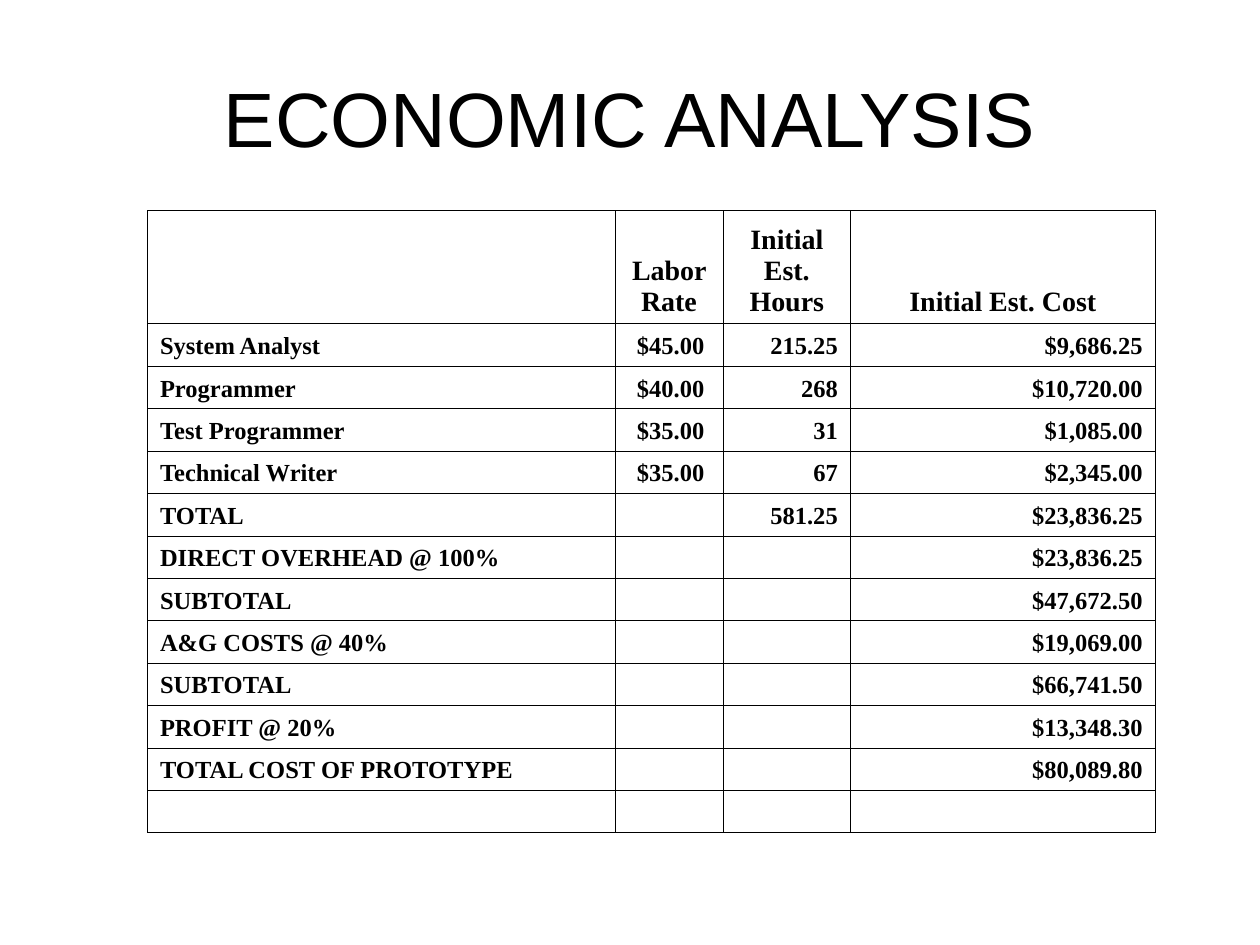
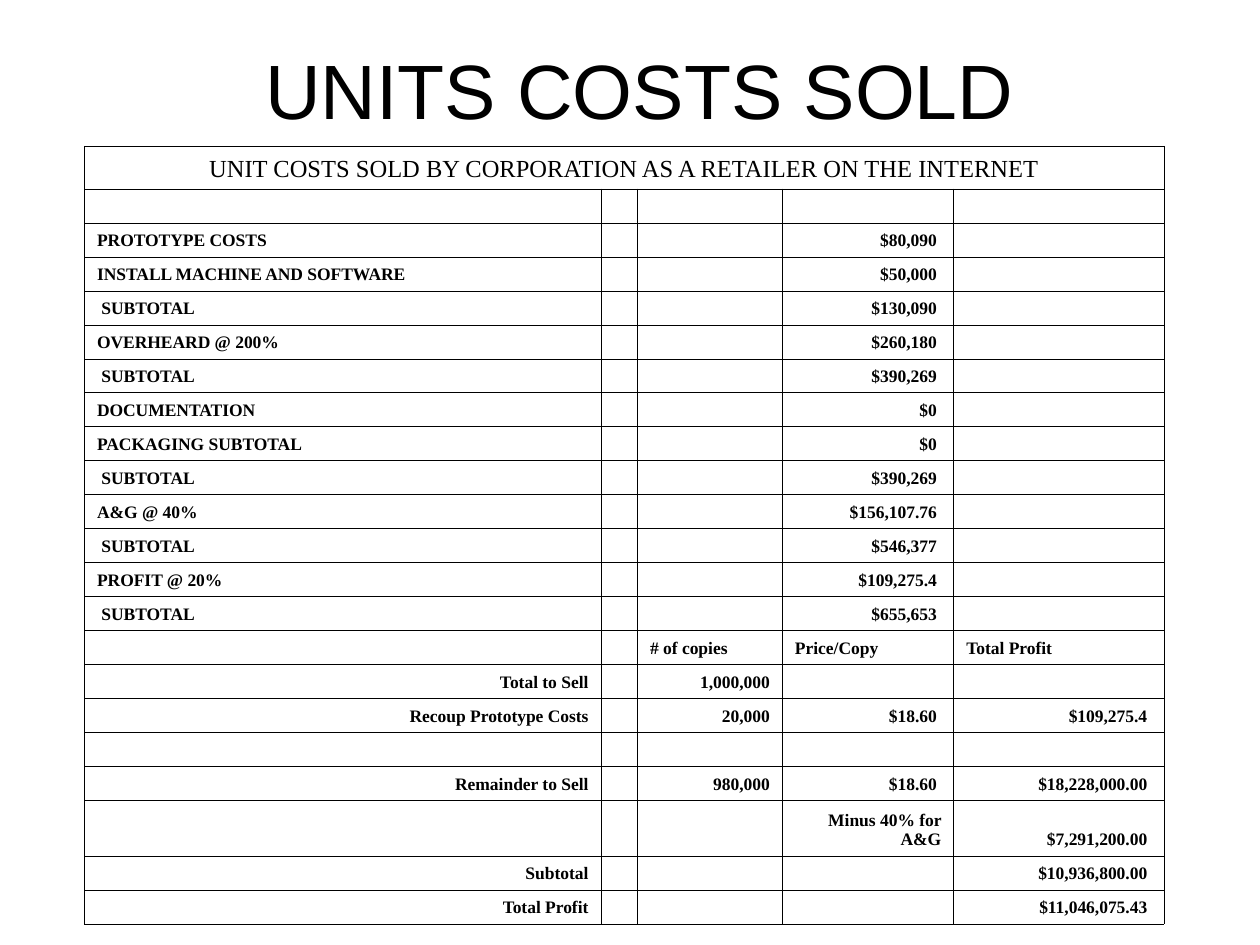
from dataclasses import dataclass

from lxml.etree import SubElement
from pptx import Presentation
from pptx.dml.color import RGBColor
from pptx.enum.text import MSO_ANCHOR as Anchor, PP_ALIGN as Align
from pptx.oxml.ns import qn
from pptx.util import Inches, Pt

BLACK = RGBColor(0, 0, 0)
WHITE = RGBColor(255, 255, 255)
TITLE_FONT, TABLE_FONT = "Arial", "Times New Roman"
SLIDE_WIDTH, SLIDE_HEIGHT = 10, 7.5
TITLE_SIZE = (9, 1.25)
BORDER_WIDTH = Pt(0.45)
ALIGNMENTS = {"l": Align.LEFT, "c": Align.CENTER, "r": Align.RIGHT}


@dataclass
class Section:
    """Consecutive table rows that share height, text size and column alignment."""

    rows: list
    aligns: str
    height: float
    size: int
    bold: bool = True


LABOR_SECTIONS = [
    Section([("", "Labor Rate", "Initial Est. Hours", "Initial Est. Cost")], "cccc", 0.9, 16),
    Section([
        ("System Analyst", "$45.00 ", "215.25", "$9,686.25"),
        ("Programmer", "$40.00 ", "268", "$10,720.00"),
        ("Test Programmer", "$35.00 ", "31", "$1,085.00"),
        ("Technical Writer", "$35.00 ", "67", "$2,345.00"),
        ("TOTAL", "", "581.25", "$23,836.25"),
        ("DIRECT OVERHEAD @ 100%", "", "", "$23,836.25"),
        ("SUBTOTAL", "", "", "$47,672.50"),
        ("A&G COSTS @ 40%", "", "", "$19,069.00"),
        ("SUBTOTAL", "", "", "$66,741.50"),
        ("PROFIT @ 20%", "", "", "$13,348.30"),
        ("TOTAL COST OF PROTOTYPE", "", "", "$80,089.80"),
        ("", "", "", ""),
    ], "lrrr", 0.337, 14),
]

UNIT_COSTS = [
    ("", ""),
    ("PROTOTYPE COSTS", "$80,090 "),
    ("INSTALL MACHINE AND SOFTWARE", "$50,000 "),
    (" SUBTOTAL", "$130,090 "),
    ("OVERHEARD @ 200%", "$260,180 "),
    (" SUBTOTAL", "$390,269 "),
    ("DOCUMENTATION", "$0 "),
    ("PACKAGING SUBTOTAL", "$0 "),
    (" SUBTOTAL", "$390,269 "),
    ("A&G @ 40%", "$156,107.76 "),
    (" SUBTOTAL", "$546,377 "),
    ("PROFIT @ 20%", "$109,275.4 "),
    (" SUBTOTAL", "$655,653 "),
]

UNIT_SECTIONS = [
    Section([("UNIT COSTS SOLD BY CORPORATION AS A RETAILER ON THE INTERNET", "", "", "", "")],
            "ccccc", 0.34, 14, bold=False),
    Section([(label, "", "", amount, "") for label, amount in UNIT_COSTS], "lllrl", 0.27, 10),
    Section([("", "", "# of copies", "Price/Copy", "Total Profit")], "lllll", 0.27, 10),
    Section([
        ("Total to Sell", "", "1,000,000", "", ""),
        ("Recoup Prototype Costs", "", "20,000", "$18.60 ", "$109,275.4 "),
        ("", "", "", "", ""),
        ("Remainder to Sell", "", "980,000", "$18.60 ", "$18,228,000.00 "),
    ], "rrrrr", 0.27, 10),
    Section([("", "", "", "Minus 40% for A&G", "$7,291,200.00 ")], "rrrrr", 0.44, 10),
    Section([
        ("Subtotal", "", "", "", "$10,936,800.00 "),
        ("Total Profit", "", "", "", "$11,046,075.43 "),
    ], "rrrrr", 0.27, 10),
]


def style_font(font, name, size, bold=False):
    """Apply the black text style."""
    font.name, font.size, font.bold = name, Pt(size), bold
    font.color.rgb = BLACK


def add_title(slide, text, left, top):
    """Add the large centred slide title."""
    box = slide.shapes.add_textbox(*map(Inches, (left, top, *TITLE_SIZE)))
    frame = box.text_frame
    frame.word_wrap = True
    frame.vertical_anchor = Anchor.MIDDLE
    frame.text = text
    heading = frame.paragraphs[0]
    heading.alignment = Align.CENTER
    style_font(heading.runs[0].font, TITLE_FONT, TITLE_SIZE_PT)


TITLE_SIZE_PT = 44


def add_borders(cell):
    """Draw a thin black line on every side of a cell."""
    properties = cell._tc.get_or_add_tcPr()
    for side in ("lnL", "lnR", "lnT", "lnB"):
        line = SubElement(properties, qn(f"a:{side}"), w=str(BORDER_WIDTH))
        SubElement(SubElement(line, qn("a:solidFill")), qn("a:srgbClr"), val=str(BLACK))


def fill_cell(cell, text, align, section):
    """Write and style one cell."""
    add_borders(cell)
    cell.fill.solid()
    cell.fill.fore_color.rgb = WHITE
    cell.vertical_anchor = Anchor.BOTTOM
    cell.margin_left = cell.margin_right = Inches(0.1)
    cell.margin_top = cell.margin_bottom = Inches(0.05)
    entry = cell.text_frame.paragraphs[0]
    entry.alignment = ALIGNMENTS[align]
    if text:
        entry.text = text
        style_font(entry.runs[0].font, TABLE_FONT, section.size, section.bold)
    else:
        SubElement(entry._p, qn("a:endParaRPr"), sz=str(section.size * 100))


def add_cost_table(slide, left, top, columns, sections):
    """Add a bordered table made of sections and return it."""
    lines = [(row, section) for section in sections for row in section.rows]
    height = sum(section.height for _, section in lines)
    table = slide.shapes.add_table(
        len(lines), len(columns), *map(Inches, (left, top, sum(columns), height))).table
    table.first_row = table.horz_banding = False
    for column, width in zip(table.columns, columns):
        column.width = Inches(width)
    for table_row, (texts, section) in zip(table.rows, lines):
        table_row.height = Inches(section.height)
        for cell, text, align in zip(table_row.cells, texts, section.aligns):
            fill_cell(cell, text, align, section)
    return table


def main():
    """Build both cost slides."""
    deck = Presentation()
    deck.slide_width, deck.slide_height = Inches(SLIDE_WIDTH), Inches(SLIDE_HEIGHT)
    blank = deck.slide_layouts[6]

    economics = deck.slides.add_slide(blank)
    add_title(economics, "ECONOMIC ANALYSIS", SLIDE_WIDTH * 0.05, SLIDE_HEIGHT * 0.04)
    add_cost_table(economics, 1.17, 1.67, (3.71, 0.86, 1.01, 2.42), LABOR_SECTIONS)

    units = deck.slides.add_slide(blank)
    add_title(units, "UNITS COSTS SOLD", 0.58, SLIDE_HEIGHT * 0.01)
    unit_table = add_cost_table(units, 0.67, 1.16, (4.1, 0.29, 1.15, 1.36, 1.67), UNIT_SECTIONS)
    unit_table.cell(0, 0).merge(unit_table.cell(0, 4))

    deck.save("out.pptx")


if __name__ == "__main__":
    main()
